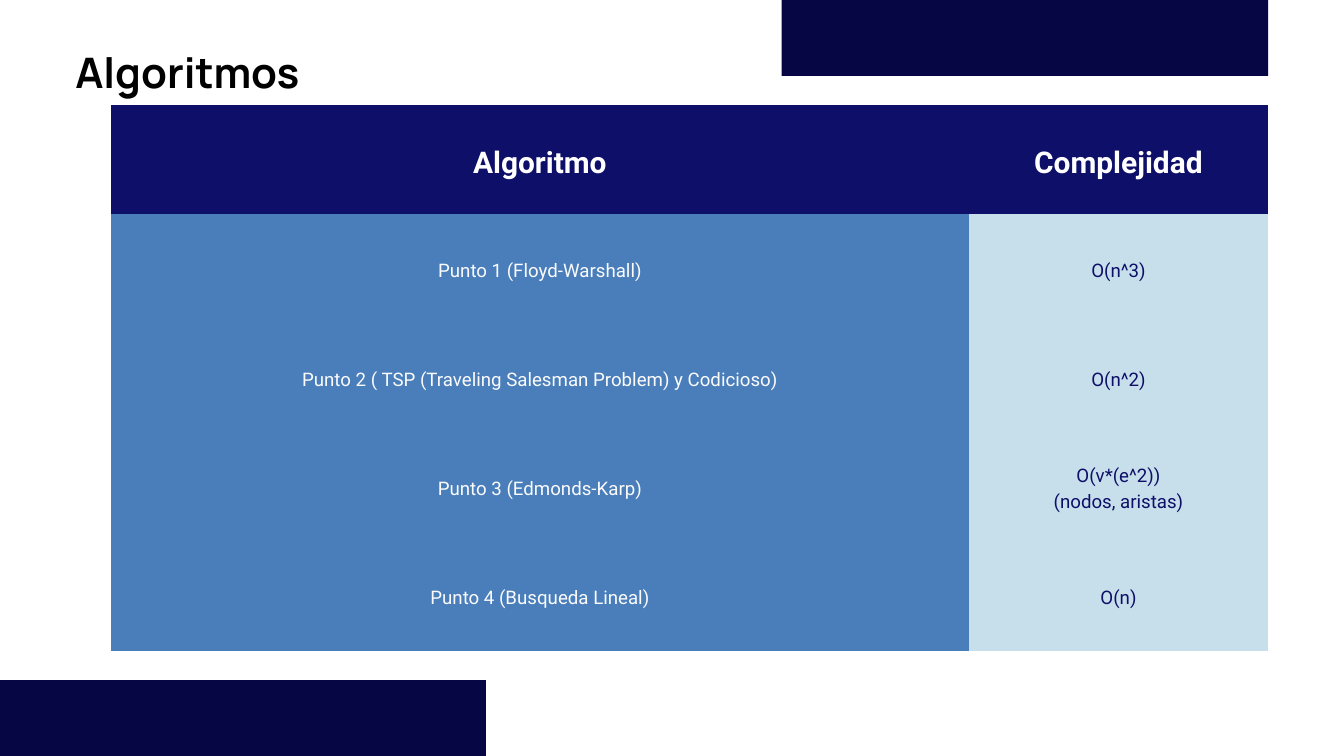
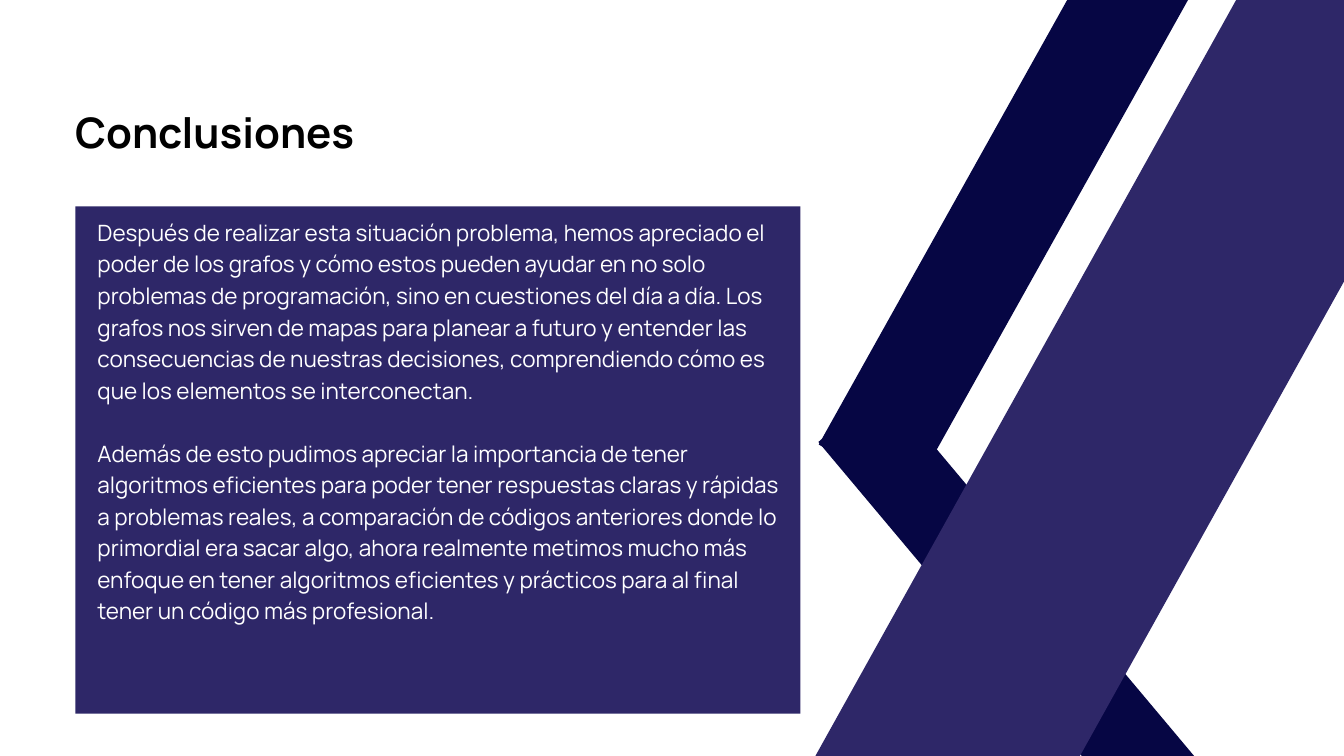
from pptx import Presentation
from pptx.dml.color import RGBColor
from pptx.enum.shapes import MSO_SHAPE
from pptx.enum.text import MSO_ANCHOR, MSO_AUTO_SIZE, PP_ALIGN
from pptx.oxml.ns import qn
from pptx.util import Inches, Pt

COLORS = {
    "navy": "060644", "indigo": "2E2768", "header": "0D0F68",
    "blue": "4A7EBB", "pale": "C7DEEB", "black": "000000",
    "white": "FFFFFF", "off_white": "FBFBFB",
}
FORMATS = {
    "title": {"font": {"name": "Manrope", "size": Pt(45), "bold": True}, "leading": 49.5},
    "body": {"font": {"name": "Manrope", "size": Pt(24.1), "bold": False}, "leading": 33.8},
    "table_head": {"font": {"name": "Roboto", "size": Pt(32), "bold": True}, "leading": 44.8},
    "table_cell": {"font": {"name": "Roboto", "size": Pt(20), "bold": False}, "leading": 28},
}
NO_STYLE_NO_GRID = "{2D5ABB26-0587-4C30-8999-92F81FD0307C}"
SIDES = ("left", "top", "right", "bottom")
MARGIN = 1.12
BAND_WIDTH, BAND_HEIGHT = 7.24, 3.38

ALGORITHMS = [
    ("Algoritmo", "Complejidad"),
    ("Punto 1 (Floyd-Warshall)", "O(n^3)"),
    ("Punto 2 ( TSP (Traveling Salesman Problem) y Codicioso)", "O(n^2)"),
    ("Punto 3 (Edmonds-Karp)", "O(v*(e^2))\n(nodos, aristas)"),
    ("Punto 4 (Busqueda Lineal)", "O(n)"),
]
CONCLUSIONS = [
    "Después de realizar esta situación problema, hemos apreciado el poder de los grafos "
    "y cómo estos pueden ayudar en no solo problemas de programación, sino en cuestiones "
    "del día a día. Los grafos nos sirven de mapas para planear a futuro y entender las "
    "consecuencias de nuestras decisiones, comprendiendo cómo es que los elementos se "
    "interconectan.",
    "Además de esto pudimos apreciar la importancia de tener algoritmos eficientes para "
    "poder tener respuestas claras y rápidas a problemas reales, a comparación de códigos "
    "anteriores donde lo primordial era sacar algo, ahora realmente metimos mucho más "
    "enfoque en tener algoritmos eficientes y prácticos para al final tener un código más "
    "profesional.",
]


def rgb(color):
    return RGBColor.from_string(COLORS[color])


class Deck:
    """Holds the presentation, its style and the slide being drawn."""

    def __init__(self):
        self.presentation = Presentation()
        self.presentation.slide_width = Inches(20)
        self.presentation.slide_height = Inches(11.25)
        self.slide = None

    def add_slide(self):
        self.slide = self.presentation.slides.add_slide(self.presentation.slide_layouts[6])

    def block(self, left, top, width, height, color, rotation=0):
        shape = self.slide.shapes.add_shape(
            MSO_SHAPE.RECTANGLE, *map(Inches, (left, top, width, height)))
        shape.rotation = rotation
        shape.shadow.inherit = False
        shape.fill.solid()
        shape.fill.fore_color.rgb = rgb(color)
        shape.line.fill.background()

    def fill_text(self, frame, paragraphs, style, color, align=PP_ALIGN.LEFT, gap=0):
        """Fill a text frame; gap is the space in points between paragraphs."""
        for index, text in enumerate(paragraphs):
            paragraph = frame.add_paragraph() if index else frame.paragraphs[0]
            paragraph.text = text
            paragraph.alignment = align
            paragraph.line_spacing = Pt(FORMATS[style]["leading"])
            if index and gap:
                paragraph.space_before = Pt(gap)
            for name, value in FORMATS[style]["font"].items():
                setattr(paragraph.font, name, value)
            paragraph.font.color.rgb = rgb(color)

    def text(self, left, top, width, height, paragraphs, style, color, gap=0):
        box = self.slide.shapes.add_textbox(*map(Inches, (left, top, width, height)))
        frame = box.text_frame
        frame.word_wrap = True
        frame.auto_size = MSO_AUTO_SIZE.SHAPE_TO_FIT_TEXT
        for side in SIDES:
            setattr(frame, f"margin_{side}", 0)
        self.fill_text(frame, paragraphs, style, color, gap=gap)

    def title(self, top, width, text):
        self.text(MARGIN, top, width, 0.75, [text], "title", "black")

    def table(self, left, top, widths, height, rows):
        frame = self.slide.shapes.add_table(
            len(rows), len(widths), *map(Inches, (left, top, sum(widths), height)))
        table = frame.table
        table.first_row = table.horz_banding = False
        frame.element.find(".//" + qn("a:tableStyleId")).text = NO_STYLE_NO_GRID
        for column, width in zip(table.columns, widths):
            column.width = Inches(width)
        body_colors = [("blue", "off_white"), ("pale", "header")]
        for row_index, row in enumerate(rows):
            for column_index, text in enumerate(row):
                if row_index == 0:
                    style, fill, color = "table_head", "header", "white"
                else:
                    style, (fill, color) = "table_cell", body_colors[column_index]
                cell = table.cell(row_index, column_index)
                cell.vertical_anchor = MSO_ANCHOR.MIDDLE
                for side in SIDES:
                    setattr(cell, f"margin_{side}", Inches(0.21))
                cell.fill.solid()
                cell.fill.fore_color.rgb = rgb(fill)
                self.fill_text(cell.text_frame, text.split("\n"), style, color,
                               PP_ALIGN.CENTER)


def algorithms_slide(deck):
    deck.add_slide()
    for left, top in ((11.63, -2.25), (-0.01, 10.12)):
        deck.block(left, top, BAND_WIDTH, BAND_HEIGHT, "navy")
    deck.title(0.75, 3.85, "Algoritmos")
    deck.table(1.65, 1.56, (12.77, 4.45), 8.13, ALGORITHMS)


def conclusions_slide(deck):
    deck.add_slide()
    deck.block(MARGIN, 3.07, 10.79, 7.55, "indigo")
    deck.block(14.43, -2.01, 1.57, 9.62, "navy", 29.2)
    deck.block(15.12, 5.04, 1.28, 9.62, "navy", 320)
    deck.block(15.29, -1.95, 3.44, 15.95, "indigo", 29.1)
    deck.title(1.65, 5.44, "Conclusiones")
    deck.text(1.45, 3.19, 10.15, 7.97, CONCLUSIONS, "body", "white",
              gap=FORMATS["body"]["leading"])


def main():
    deck = Deck()
    algorithms_slide(deck)
    conclusions_slide(deck)
    deck.presentation.save("out.pptx")


if __name__ == "__main__":
    main()
